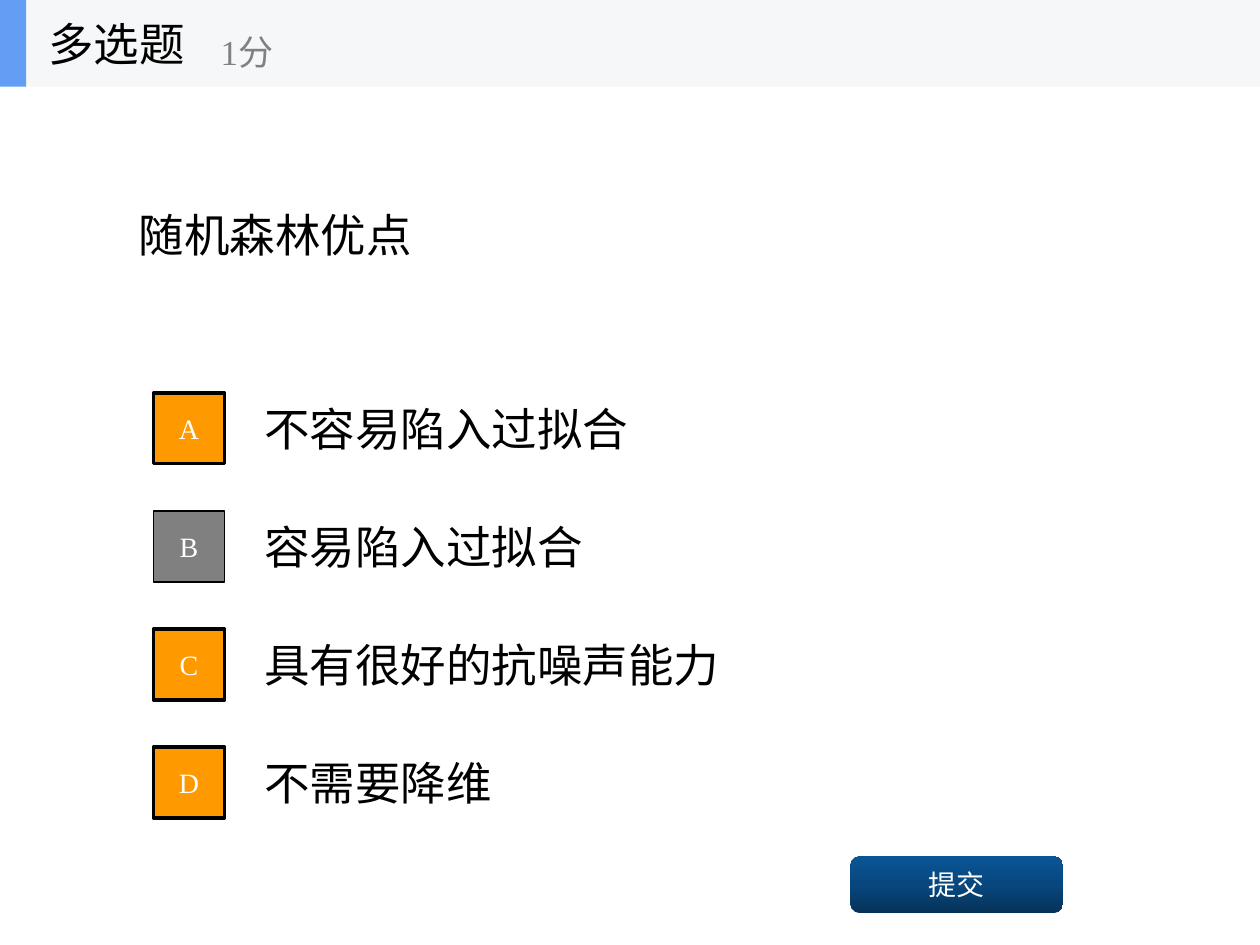
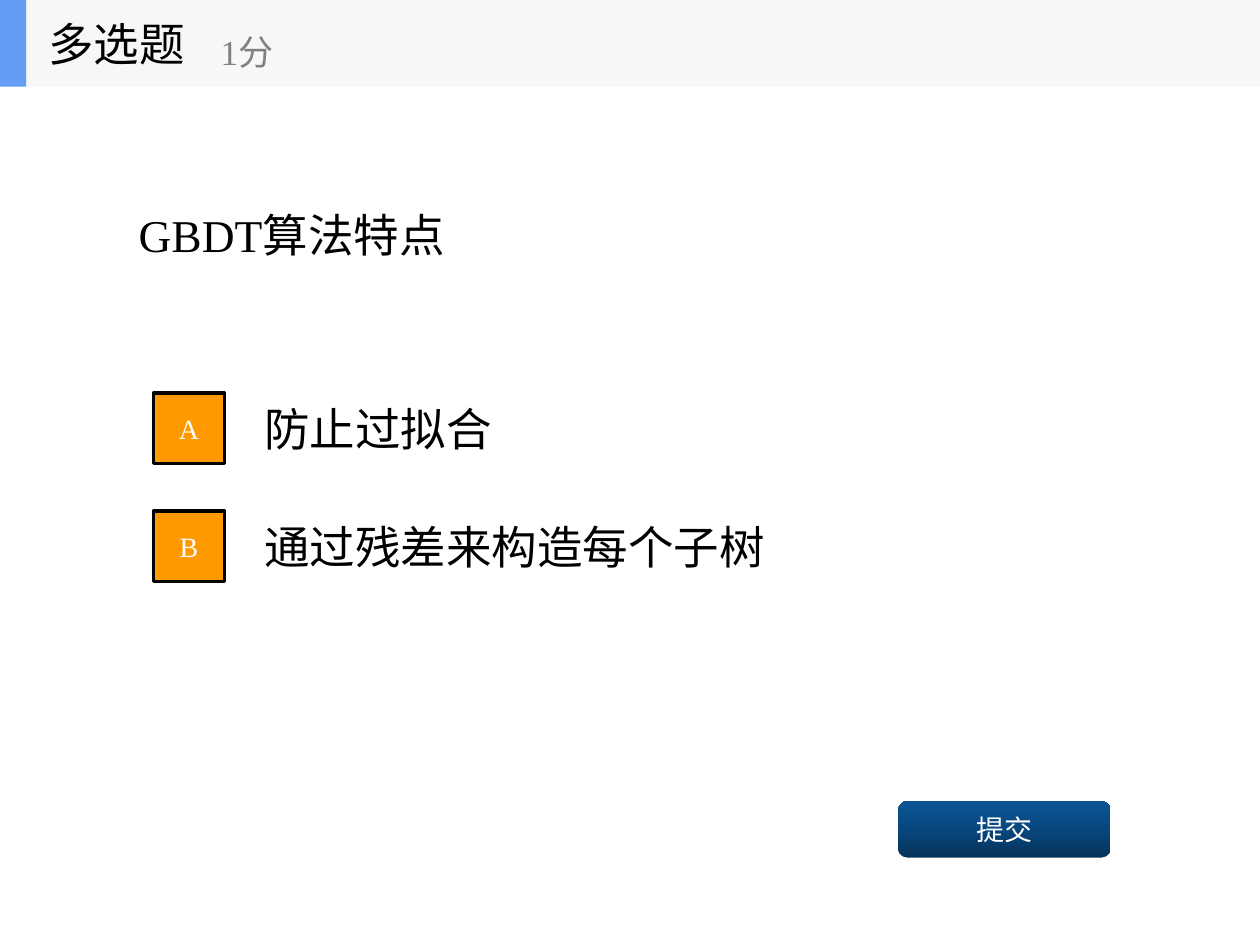
"""Builds two multiple-choice quiz slides with a shared header, options and submit button."""
from copy import deepcopy

from pptx import Presentation
from pptx.dml.color import RGBColor
from pptx.enum import shapes, text
from pptx.util import Pt

FONT = "Times New Roman"
BLACK, WHITE, GREY = "000000", "FFFFFF", "808080"
ORANGE, HEADER, ACCENT = "FF9900", "F6F7F8", "639EF4"
BUTTON_STOPS = [(0, "063258"), (0.5, "08477E"), (1, "0A5595")]
HEADER_HEIGHT = 49.5
OPTION_TOP, OPTION_HEIGHT, OPTION_STEP = 219.4, 50.6, 67.5
MARKER_SIZE = 40.5

QUIZZES = [
    {
        "question": "随机森林优点",
        "options": [
            ("不容易陷入过拟合", True),
            ("容易陷入过拟合", False),
            ("具有很好的抗噪声能力", True),
            ("不需要降维", True),
        ],
        "button": (486, 489.4),
    },
    {
        "question": "GBDT算法特点",
        "options": [("防止过拟合", True), ("通过残差来构造每个子树", True)],
        "button": (513.2, 457.7),
    },
]


def write(box, words, size, color, align=text.PP_ALIGN.LEFT):
    """Put one styled, vertically centred line of text into a shape."""
    frame = box.text_frame
    frame.word_wrap = True
    frame.auto_size = text.MSO_AUTO_SIZE.NONE
    frame.vertical_anchor = text.MSO_ANCHOR.MIDDLE
    para = frame.paragraphs[0]
    para.text = words
    para.alignment = align
    para.font.name = FONT
    para.font.size = Pt(size)
    para.font.color.rgb = RGBColor.from_string(color)


def add_block(slide, left, top, width, height, fill=None, kind=shapes.MSO_SHAPE.RECTANGLE):
    """Add a shape without shadow or outline, given in points."""
    block = slide.shapes.add_shape(kind, Pt(left), Pt(top), Pt(width), Pt(height))
    block.shadow.inherit = False
    block.line.fill.background()
    if fill:
        block.fill.solid()
        block.fill.fore_color.rgb = RGBColor.from_string(fill)
    return block


deck = Presentation()
deck.slide_width, deck.slide_height = Pt(720), Pt(540)
title_only = deck.slide_layouts[5]

for quiz in QUIZZES:
    page = deck.slides.add_slide(title_only)

    question = page.shapes.title
    question.left, question.top = Pt(72), Pt(HEADER_HEIGHT)
    question.width, question.height = Pt(576), Pt(168.75)
    write(question, quiz["question"], 26, BLACK)

    for row, (answer, correct) in enumerate(quiz["options"]):
        top = OPTION_TOP + row * OPTION_STEP
        option = page.shapes.add_textbox(Pt(144), Pt(top), Pt(504), Pt(OPTION_HEIGHT))
        write(option, answer, 26, BLACK)

        marker_top = top + (OPTION_HEIGHT - MARKER_SIZE) / 2
        marker = add_block(page, 87.75, marker_top, MARKER_SIZE, MARKER_SIZE,
                           ORANGE if correct else GREY)
        marker.line.color.rgb = RGBColor.from_string(BLACK)
        marker.line.width = Pt(2 if correct else 1)
        write(marker, "ABCD"[row], 16, WHITE, text.PP_ALIGN.CENTER)

    button = add_block(page, *quiz["button"], 121.5, 32.4,
                       kind=shapes.MSO_SHAPE.ROUNDED_RECTANGLE)
    button.fill.gradient()
    button.fill.gradient_angle = 90
    stop_list = button.fill._xPr.gradFill.gsLst
    stop_list.insert(1, deepcopy(stop_list[0]))
    for stop, (position, color) in zip(button.fill.gradient_stops, BUTTON_STOPS):
        stop.position = position
        stop.color.rgb = RGBColor.from_string(color)
    write(button, "提交", 16, WHITE, text.PP_ALIGN.CENTER)

    add_block(page, 0, 0, 720, HEADER_HEIGHT, HEADER)
    add_block(page, 0, 0, 15, HEADER_HEIGHT, ACCENT)
    kind_label = page.shapes.add_textbox(Pt(20.4), Pt(0), Pt(150), Pt(HEADER_HEIGHT))
    write(kind_label, "多选题", 26, BLACK)
    score = page.shapes.add_textbox(Pt(119), Pt(9), Pt(180), Pt(40.5))
    write(score, "1分", 20, GREY)

deck.save("out.pptx")
